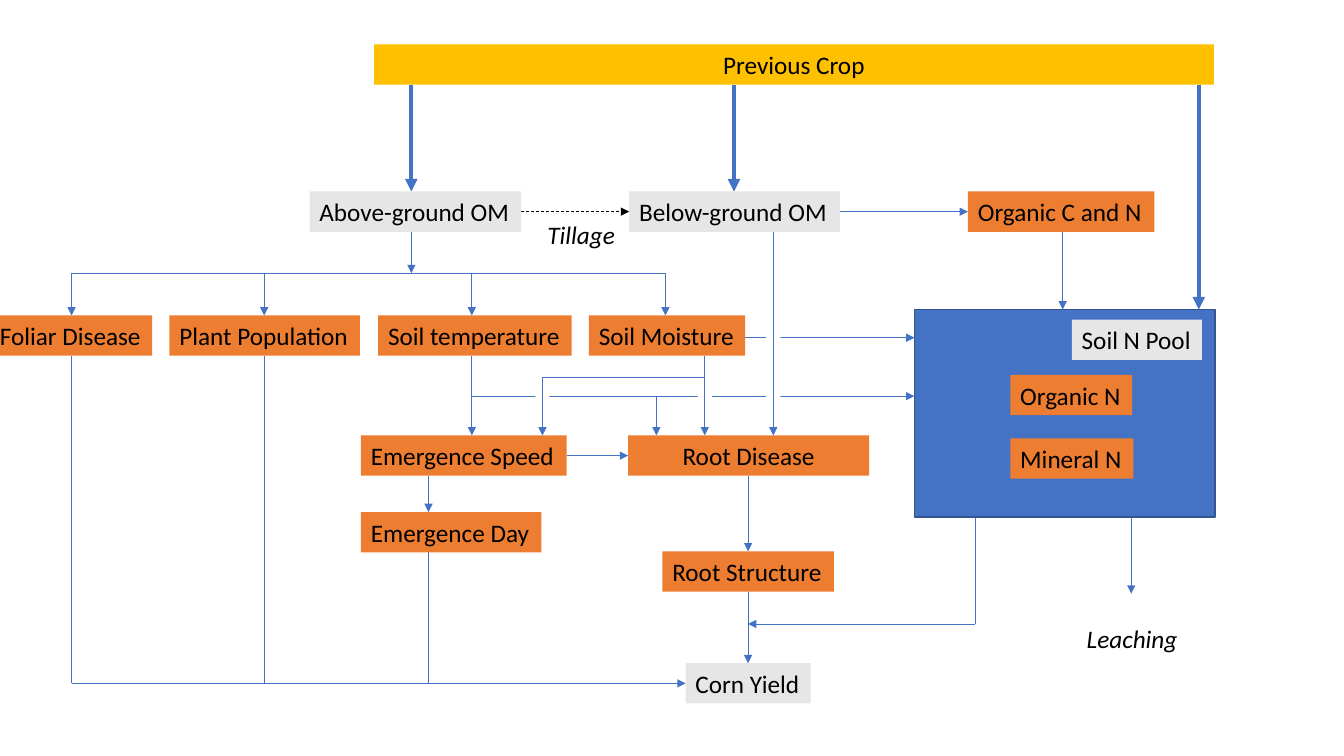
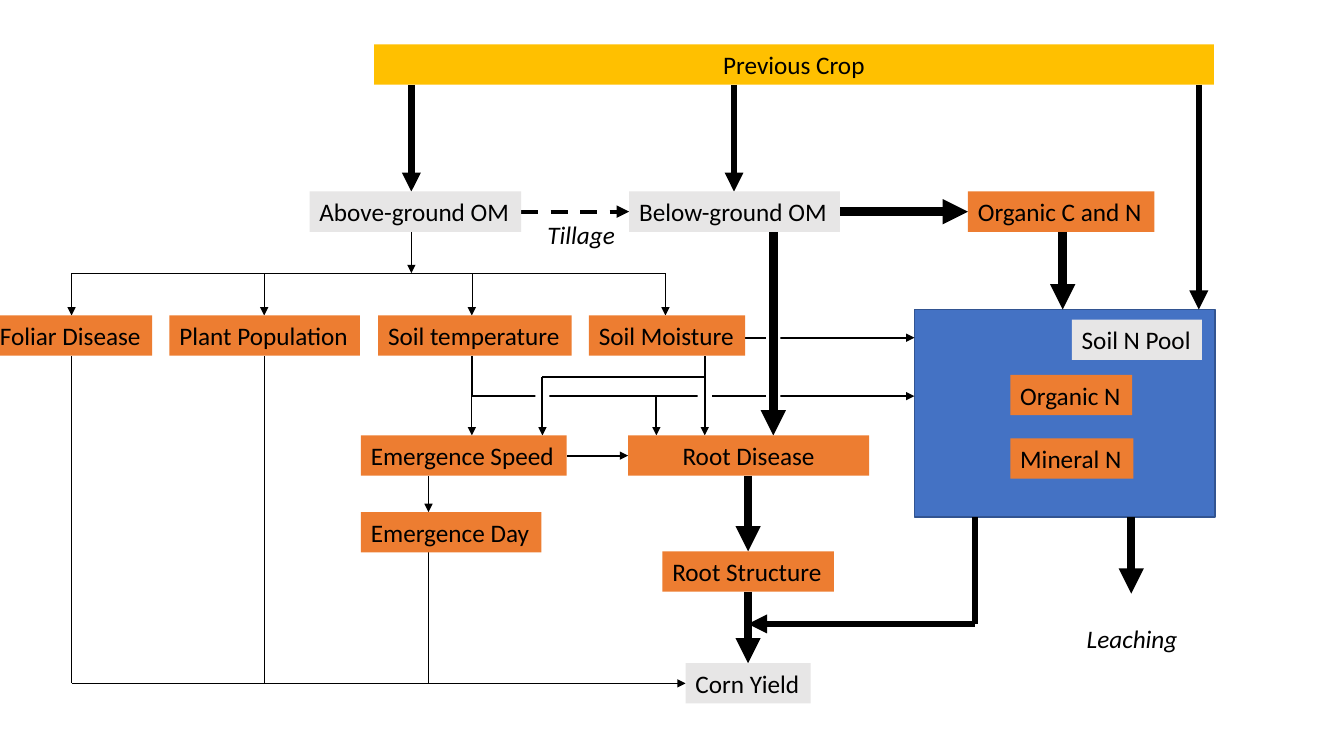
from lxml import etree
from pptx import Presentation
from pptx.dml.color import RGBColor
from pptx.enum.dml import MSO_LINE
from pptx.enum.shapes import MSO_CONNECTOR, MSO_SHAPE
from pptx.enum.text import MSO_AUTO_SIZE, PP_ALIGN
from pptx.oxml.ns import qn
from pptx.util import Inches, Pt

RECTANGLE = MSO_SHAPE.RECTANGLE
STRAIGHT = MSO_CONNECTOR.STRAIGHT
DASH = MSO_LINE.DASH
FIT = MSO_AUTO_SIZE.SHAPE_TO_FIT_TEXT
LEFT, CENTER = PP_ALIGN.LEFT, PP_ALIGN.CENTER

BLACK, WHITE, BLUE, NAVY = "000000", "FFFFFF", "4472C4", "325491"
GREY, ORANGE, GOLD = "E7E6E6", "ED7D31", "FFC000"
BOX_HEIGHT = 0.4
GAP_WIDTH, GAP_HEIGHT = 0.14, 0.16

# Line colour and line weight of each kind of flow, one entry per slide
SLIDES = [
    {"colour": BLUE, "crop": 3, "strong": 0.5, "return": 0.5, "tillage": 0.5,
     "medium": 0.5, "thin": 0.5, "weak": 0.5},
    {"colour": BLACK, "crop": 4.5, "strong": 6, "return": 4.5, "tillage": 3,
     "medium": 1.5, "thin": 0.5, "weak": 0.25},
]

# Box rows: top, then (text, left, width, fill)
ROWS = [
    (0.44, [("Previous Crop", 3.71, 8.33, GOLD)]),
    (1.9, [("Above-ground OM", 3.07, 2.1, GREY),
           ("Below-ground OM", 6.24, 2.09, GREY),
           ("Organic C and N", 9.6, 1.85, ORANGE)]),
    (3.13, [("Foliar Disease", -0.1, 1.61, ORANGE),
            ("Plant Population", 1.68, 1.89, ORANGE),
            ("Soil temperature", 3.75, 1.92, ORANGE),
            ("Soil Moisture", 5.84, 1.55, ORANGE)]),
    (3.17, [("Soil N Pool", 10.63, 1.29, GREY)]),
    (3.72, [("Organic N", 10.02, 1.21, ORANGE)]),
    (4.32, [("Emergence Speed", 3.58, 2.04, ORANGE),
            ("Root Disease", 6.23, 2.39, ORANGE)]),
    (4.35, [("Mineral N", 10.02, 1.22, ORANGE)]),
    (5.08, [("Emergence Day", 3.58, 1.79, ORANGE)]),
    (5.47, [("Root Structure", 6.57, 1.7, ORANGE)]),
    (6.58, [("Corn Yield", 6.8, 1.24, GREY)]),
]
CENTERED = ("Previous Crop", "Root Disease")
LABELS = [("Tillage", 5.33, 2.13, 0.88), ("Leaching", 10.68, 6.13, 1.11)]
POOL = (9.07, 3.07, 2.98, 2.06)

# Columns of the vertical flows and rails of the horizontal ones
FOLIAR, PLANTS, ABOVE, DAY, TEMPERATURE, SPEED = 0.71, 2.62, 4.08, 4.25, 4.68, 5.38
DISEASE, MOISTURE, BELOW, ROOT, SOIL = 6.51, 6.99, 7.28, 7.42, 7.67
RETURN, CARBON, LEACHING, CROP_N = 9.67, 10.54, 11.22, 11.89
OM_RAIL, LITTER_RAIL, WATER_RAIL, SPLIT_RAIL, HEAT_RAIL = 2.1, 2.71, 3.35, 3.74, 3.93
SPEED_RAIL, RETURN_RAIL, YIELD_RAIL = 4.52, 6.19, 6.78

# Flows: position, start, end, kind, arrow; ends are box names or coordinates
HORIZONTAL = [
    (OM_RAIL, "Above-ground OM", "Below-ground OM", "tillage", True),
    (OM_RAIL, "Below-ground OM", "Organic C and N", "strong", True),
    (LITTER_RAIL, FOLIAR, 6.6, "weak", False),
    (WATER_RAIL, "Soil Moisture", "pool", "medium", True),
    (SPLIT_RAIL, SPEED, MOISTURE, "medium", False),
    (HEAT_RAIL, TEMPERATURE, "pool", "medium", True),
    (SPEED_RAIL, "Emergence Speed", "Root Disease", "medium", True),
    (RETURN_RAIL, RETURN, ROOT, "return", True),
    (YIELD_RAIL, FOLIAR, "Corn Yield", "weak", True),
]
VERTICAL = [
    (ABOVE, "Previous Crop", "Above-ground OM", "crop", True),
    (BELOW, "Previous Crop", "Below-ground OM", "crop", True),
    (CROP_N, "Previous Crop", "pool", "crop", True),
    (ABOVE, "Above-ground OM", LITTER_RAIL, "weak", True),
    (FOLIAR, LITTER_RAIL, "Foliar Disease", "weak", True),
    (PLANTS, LITTER_RAIL, "Plant Population", "weak", True),
    (TEMPERATURE, LITTER_RAIL, "Soil temperature", "weak", True),
    (6.6, LITTER_RAIL, "Soil Moisture", "weak", True),
    (FOLIAR, "Foliar Disease", YIELD_RAIL, "weak", False),
    (PLANTS, "Plant Population", YIELD_RAIL, "weak", False),
    (TEMPERATURE, "Soil temperature", HEAT_RAIL, "medium", False),
    (TEMPERATURE, HEAT_RAIL, "Emergence Speed", "thin", True),
    (SPEED, SPLIT_RAIL, "Emergence Speed", "medium", True),
    (DISEASE, HEAT_RAIL, "Root Disease", "medium", True),
    (MOISTURE, "Soil Moisture", "Root Disease", "medium", True),
    (SOIL, "Below-ground OM", "Root Disease", "strong", True),
    (DAY, "Emergence Speed", "Emergence Day", "weak", True),
    (DAY, "Emergence Day", YIELD_RAIL, "weak", False),
    (ROOT, "Root Disease", "Root Structure", "strong", True),
    (ROOT, "Root Structure", "Corn Yield", "strong", True),
    (RETURN, "pool", RETURN_RAIL, "return", False),
    (CARBON, "Organic C and N", "pool", "strong", True),
    (LEACHING, "pool", 5.89, "strong", True),
]
CROSSINGS = [(SPEED, HEAT_RAIL), (MOISTURE, HEAT_RAIL),
             (SOIL, HEAT_RAIL), (SOIL, WATER_RAIL)]

PLACES = {text: (left, top, width, BOX_HEIGHT)
          for top, row in ROWS for text, left, width, _ in row}
PLACES["pool"] = POOL


def rgb(hex_text):
    """Turn a hex string into a colour."""
    return RGBColor.from_string(hex_text)


def add_block(slide, place, fill, outline=None):
    """Add a flat rectangle, with an outline if a colour is given."""
    block = slide.shapes.add_shape(RECTANGLE, *map(Inches, place))
    block.shadow.inherit = False
    block.fill.solid()
    block.fill.fore_color.rgb = rgb(fill)
    if outline:
        block.line.color.rgb = rgb(outline)
        block.line.width = Pt(1)
    else:
        block.line.fill.background()
    return block


def write(holder, text, align=LEFT, italic=False):
    """Put one line of text into a box or label."""
    frame = holder.text_frame
    frame.word_wrap = align == CENTER
    frame.auto_size = FIT
    paragraph = frame.paragraphs[0]
    paragraph.alignment = align
    run = paragraph.add_run()
    run.text = text
    style = {"name": "Calibri", "size": Pt(18), "italic": italic}
    for key, value in style.items():
        setattr(run.font, key, value)
    run.font.color.rgb = rgb(BLACK)


def edge(end, axis, leaving):
    """Find where a flow along an axis (0 across, 1 down) meets its end."""
    if end not in PLACES:
        return end
    place = PLACES[end]
    return place[axis] + (place[axis + 2] if leaving else 0)


def add_flow(slide, weights, flow, axis):
    """Draw one flow along an axis."""
    position, start, end, kind, arrow = flow
    first, last = edge(start, axis, True), edge(end, axis, False)
    if axis == 0:
        points = (first, position, last, position)
    else:
        points = (position, first, position, last)
    connector = slide.shapes.add_connector(STRAIGHT, *map(Inches, points))
    line = connector.line
    line.width = Pt(weights[kind])
    line.color.rgb = rgb(weights["colour"])
    if kind == "tillage":
        line.color.rgb = rgb(BLACK)
        line.dash_style = DASH
    properties = connector._element.spPr
    if arrow:
        etree.SubElement(properties.find(qn("a:ln")), qn("a:tailEnd"), type="triangle")
    etree.SubElement(properties, qn("a:effectLst"))


def build_diagram(slide, weights):
    """Draw the whole diagram; gaps part the crossing flows."""
    add_block(slide, POOL, BLUE, NAVY)
    for flow in HORIZONTAL:
        add_flow(slide, weights, flow, 0)
    for x, y in CROSSINGS:
        gap = (x - GAP_WIDTH / 2, y - GAP_HEIGHT / 2, GAP_WIDTH, GAP_HEIGHT)
        add_block(slide, gap, WHITE)
    for flow in VERTICAL:
        add_flow(slide, weights, flow, 1)
    for _, row in ROWS:
        for text, _, _, fill in row:
            box = add_block(slide, PLACES[text], fill)
            write(box, text, CENTER if text in CENTERED else LEFT)
    for text, left, top, width in LABELS:
        place = (left, top, width, BOX_HEIGHT)
        label = slide.shapes.add_textbox(*map(Inches, place))
        write(label, text, italic=True)


deck = Presentation()
deck.slide_width, deck.slide_height = Inches(13.33), Inches(7.5)
blank_layout = deck.slide_layouts[6]
for weights in SLIDES:
    build_diagram(deck.slides.add_slide(blank_layout), weights)
deck.save("out.pptx")
